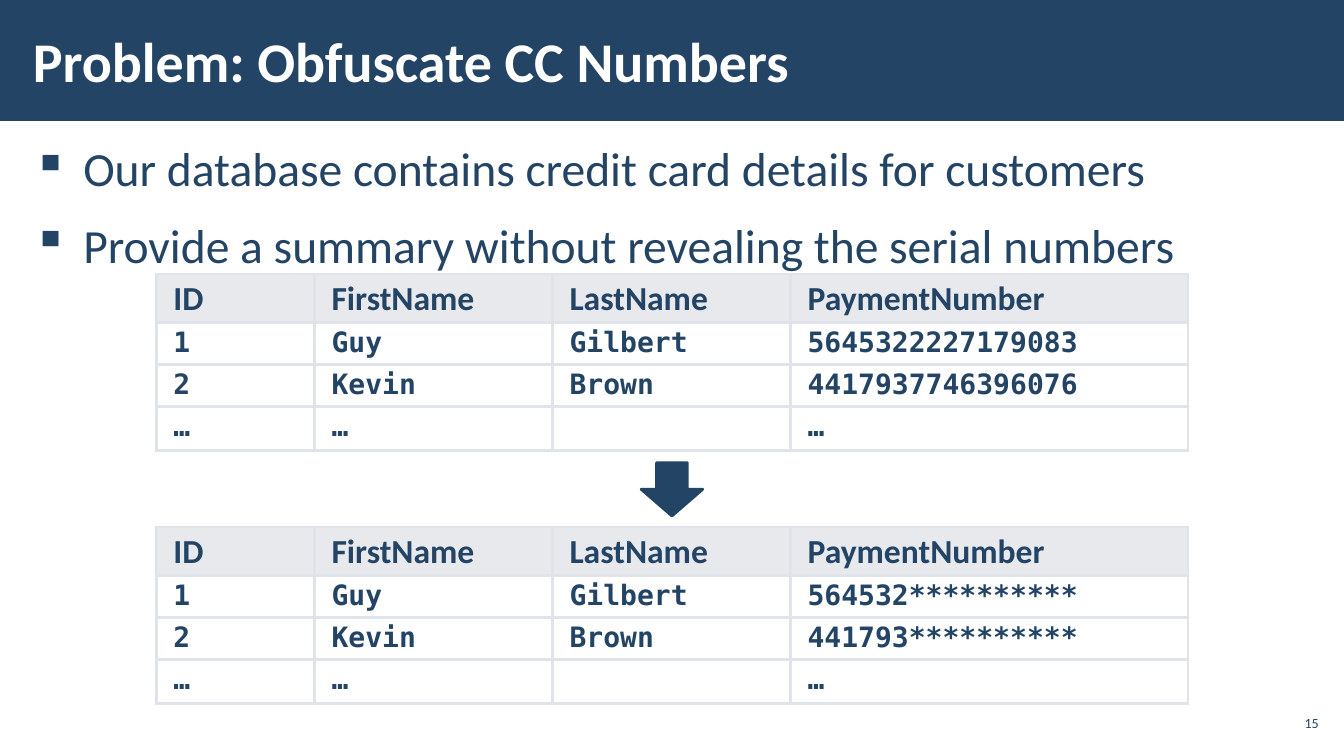
from dataclasses import dataclass

from lxml import etree
from pptx import Presentation, util as u
from pptx.dml import color
from pptx.enum import shapes, text
from pptx.oxml import ns

HUES = {"navy": "234465", "white": "FFFFFF", "head": "D1D5DD", "edge": "E0E3E9"}
SANS, MONO = "Calibri", "DejaVu Sans Mono"
COLS = (113, 170, 170, 284)
ROWS = (34.56, 30.1, 30.1, 30.1)
HEADS = ("ID", "FirstName", "LastName", "PaymentNumber")


@dataclass(frozen=True)
class Label:
    """A text box with one style for all its lines."""
    lines: tuple[str, ...]
    box: tuple[float, float, float, float]
    size: float
    hue: str = "navy"
    bold: bool = False
    inset: float = 8.5
    mid: bool = True
    right: bool = False
    bullet: bool = False


@dataclass(frozen=True)
class Grid:
    """A customer table with its two payment numbers."""
    top: float
    cards: tuple[str, str]


@dataclass(frozen=True)
class Block:
    """A solid preset shape."""
    kind: shapes.MSO_SHAPE
    box: tuple[float, float, float, float]
    line: float = 0


LABELS = (
    Label(("Our database contains credit card details for customers",
           "Provide a summary without revealing the serial numbers"),
          (15, 94.5, 930, 410), 34, mid=False, bullet=True),
    Label(("Problem: Obfuscate CC Numbers",), (15, 8, 749, 70), 40, "white", bold=True),
    Label(("15",), (911, 504, 34, 24.5), 10, inset=3, right=True),
)
GRIDS = (
    Grid(195.8, ("5645322227179083", "4417937746396076")),
    Grid(376.5, ("564532**********", "441793**********")),
)
BAND = Block(shapes.MSO_SHAPE.RECTANGLE, (0, 0, 960, 86.4))
ARROW = Block(shapes.MSO_SHAPE.DOWN_ARROW, (458, 330.5, 44, 38), 2)


def rgb(hue: str) -> color.RGBColor:
    """Look up a colour by name."""
    return color.RGBColor.from_string(HUES[hue])


def style(para, face: str, size: float, hue: str, bold: bool) -> None:
    """Set the font of a paragraph."""
    font = para.font
    font.name, font.size, font.bold = face, u.Pt(size), bold
    font.color.rgb = rgb(hue)


def add_block(slide, block: Block) -> None:
    """Draw a solid shape."""
    shape = slide.shapes.add_shape(block.kind, *map(u.Pt, block.box))
    shape.shadow.inherit = False
    shape.fill.solid()
    shape.fill.fore_color.rgb = rgb("navy")
    if block.line:
        shape.line.color.rgb = rgb("navy")
        shape.line.width = u.Pt(block.line)
    else:
        shape.line.fill.background()


def add_bullet(para) -> None:
    """Give a paragraph a hanging square bullet."""
    props = para._p.get_or_add_pPr()
    props.set("marL", str(u.Pt(36)))
    props.set("indent", str(-u.Pt(36)))
    mark = etree.Element(ns.qn("a:buChar"), char="▪")
    props.insert_element_before(mark, "a:tabLst", "a:defRPr", "a:extLst")
    para.line_spacing = 1.05
    para.space_before = para.space_after = u.Pt(6)


def add_label(slide, label: Label) -> None:
    """Draw a text box."""
    frame = slide.shapes.add_textbox(*map(u.Pt, label.box)).text_frame
    frame.word_wrap = True
    frame.margin_left = frame.margin_right = u.Pt(label.inset)
    frame.margin_top = frame.margin_bottom = u.Pt(3)
    frame.vertical_anchor = text.MSO_ANCHOR.MIDDLE if label.mid else text.MSO_ANCHOR.TOP
    frame.text = "\n".join(label.lines)
    for para in frame.paragraphs:
        style(para, SANS, label.size, label.hue, label.bold)
        if label.right:
            para.alignment = text.PP_ALIGN.RIGHT
        if label.bullet:
            add_bullet(para)


def paint(cell, hue: str, alpha: int) -> None:
    """Fill a cell with a sheer colour and edge it on all sides."""
    cell.fill.solid()
    cell.fill.fore_color.rgb = rgb(hue)
    props = cell._tc.get_or_add_tcPr()
    tint = props.find(".//" + ns.qn("a:srgbClr"))
    etree.SubElement(tint, ns.qn("a:alpha"), val=str(alpha * 1000))
    for spot, side in enumerate(("lnL", "lnR", "lnT", "lnB")):
        line = etree.Element(ns.qn("a:" + side), w=str(u.Pt(2.25)))
        fill = etree.SubElement(line, ns.qn("a:solidFill"))
        etree.SubElement(fill, ns.qn("a:srgbClr"), val=HUES["edge"])
        props.insert(spot, line)


def add_grid(slide, grid: Grid) -> None:
    """Draw a customer table."""
    first, second = grid.cards
    data = (HEADS, ("1", "Guy", "Gilbert", first),
            ("2", "Kevin", "Brown", second), ("…", "…", "", "…"))
    box = (111.6, grid.top, sum(COLS), sum(ROWS))
    table = slide.shapes.add_table(len(ROWS), len(COLS), *map(u.Pt, box)).table
    table.first_row = table.horz_banding = False
    for col, width in zip(table.columns, COLS):
        col.width = u.Pt(width)
    for r, (row, high) in enumerate(zip(table.rows, ROWS)):
        row.height = u.Pt(high)
        face, size, hue, alpha = (MONO, 20, "white", 20) if r else (SANS, 24, "head", 50)
        for cell, word in zip(row.cells, data[r]):
            cell.text = word
            cell.margin_left = cell.margin_right = u.Pt(12.25)
            cell.margin_top = cell.margin_bottom = u.Pt(3.6)
            para = cell.text_frame.paragraphs[0]
            para.line_spacing = 0.95
            style(para, face, size, "navy", True)
            paint(cell, hue, alpha)


def main() -> None:
    """Build the slide and save it."""
    deck = Presentation()
    deck.slide_width, deck.slide_height = u.Pt(960), u.Pt(540)
    slide = deck.slides.add_slide(deck.slide_layouts[6])
    add_block(slide, BAND)
    for label in LABELS:
        add_label(slide, label)
    for grid in GRIDS:
        add_grid(slide, grid)
    add_block(slide, ARROW)
    deck.save("out.pptx")


if __name__ == "__main__":
    main()
